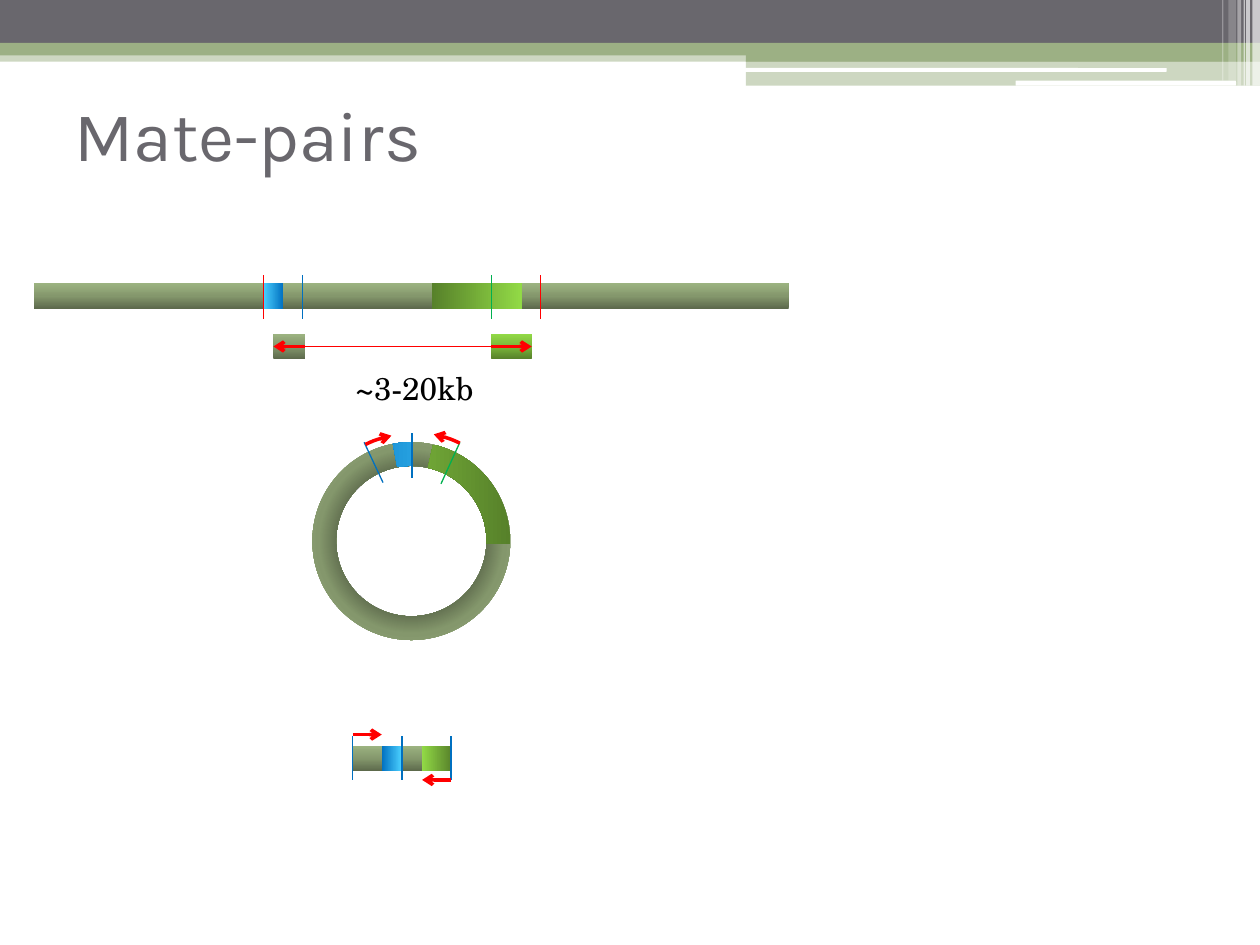
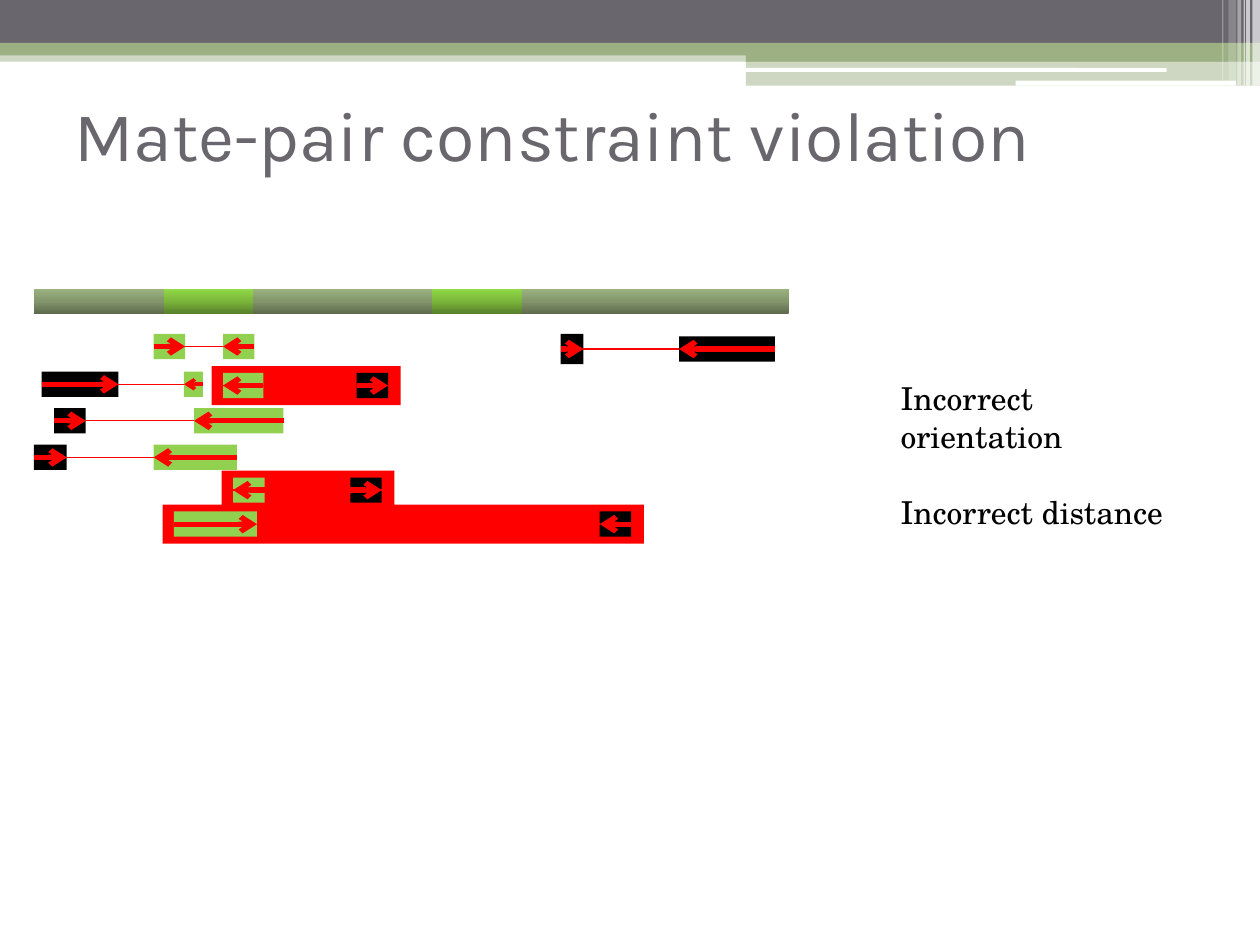
import dataclasses

import pptx
import pptx.dml.color
import pptx.enum.shapes
import pptx.enum.text
import pptx.oxml.ns
import pptx.util
from lxml import etree

Inches = pptx.util.Inches
Pt = pptx.util.Pt
Kind = pptx.enum.shapes.MSO_SHAPE
qn = pptx.oxml.ns.qn
LEFT, RIGHT = 1, 3


@dataclasses.dataclass(frozen=True)
class Theme:
    grey: str = "69676D"
    sage: str = "9CB084"
    white: str = "FFFFFF"
    black: str = "000000"
    red: str = "FF0000"
    blue: str = "0070C0"
    green: str = "00B050"
    lime: str = "92D050"
    dna: tuple = ((0, "5D6A4C"), (50, "84976C"), (100, "9CB381"))
    core: tuple = ((50, "5D6A4C"), (66, "84976C"), (100, "9CB381"))
    leaf: tuple = ((0, "57812A"), (50, "7BB73B"), (100, "92DA46"))
    fade: tuple = ((0, "57812A"), (100, "92DA46"))
    sky: tuple = ((0, "0070C0"), (100, "4BD0FF"))
    head: str = "Karla"
    body: str = "TeX Gyre Schola"
    big: int = 40
    small: int = 18
    thin: float = 0.75
    mid: int = 2
    bold: int = 3


class Deck:
    def __init__(self, theme):
        self.theme = theme
        self.file = pptx.Presentation()
        self.file.slide_width = Inches(10)
        self.file.slide_height = Inches(7.5)
        self.layout = self.file.slide_layouts[5]
        self.slide = None

    def start(self, title):
        t = self.theme
        self.slide = self.file.slides.add_slide(self.layout)
        box = self.slide.shapes.title
        box.left, box.top = Inches(0.59), Inches(0.68)
        box.width, box.height = Inches(9.25), Inches(0.94)
        frame = box.text_frame
        frame.text = title
        frame.auto_size = pptx.enum.text.MSO_AUTO_SIZE.NONE
        frame.margin_left = frame.margin_right = frame.margin_bottom = 0
        frame.margin_top = Inches(0.05)
        frame.vertical_anchor = pptx.enum.text.MSO_ANCHOR.TOP
        self.style(frame.paragraphs[0], t.head, t.big, t.grey)

    def style(self, para, face, size, color):
        para.alignment = pptx.enum.text.PP_ALIGN.LEFT
        for run in para.runs:
            run.font.name, run.font.size = face, Pt(size)
            run.font.color.rgb = pptx.dml.color.RGBColor.from_string(color)

    def share(self, shapes):
        """Move shapes from the slide to the back of its layout."""
        tree = self.layout.shapes._spTree
        for place, shape in enumerate(shapes, 2):
            tree.insert(place, shape._element)

    def shape(self, x, y, w, h, fill, kind=Kind.RECTANGLE, adj=(), alpha=100):
        form = self.slide.shapes.add_shape(
            kind, Inches(x), Inches(y), Inches(w), Inches(h))
        form.shadow.inherit = False
        form.line.fill.background()
        for i, value in enumerate(adj):
            form.adjustments[i] = value
        if fill is None:
            form.fill.background()
            return form
        form.fill.solid()
        form.fill.fore_color.rgb = pptx.dml.color.RGBColor.from_string(fill)
        if alpha < 100:
            color = form._element.spPr.find(qn("a:solidFill"))[0]
            etree.SubElement(color, qn("a:alpha"), val=str(alpha * 1000))
        return form

    def blend(self, x, y, w, h, stops, angle=270, **more):
        """Add a shape with a gradient; no angle gives a round one."""
        form = self.shape(x, y, w, h, None, **more)
        form.fill.gradient()
        grad = form._element.spPr.find(qn("a:gradFill"))
        grad.clear()
        grad.set("rotWithShape", "1")
        rows = etree.SubElement(grad, qn("a:gsLst"))
        for at, color in stops:
            stop = etree.SubElement(rows, qn("a:gs"), pos=str(at * 1000))
            etree.SubElement(stop, qn("a:srgbClr"), val=color)
        if angle is None:
            ring = etree.SubElement(grad, qn("a:path"), {"path": "circle"})
            etree.SubElement(ring, qn("a:fillToRect"),
                             dict.fromkeys("ltrb", "50000"))
        else:
            etree.SubElement(grad, qn("a:lin"), ang=str(angle * 60000), scaled="0")
        return form

    def stroke(self, form, color, width, tip=None):
        form.line.color.rgb = pptx.dml.color.RGBColor.from_string(color)
        form.line.width = Pt(width)
        if tip:
            line = form._element.spPr.find(qn("a:ln"))
            etree.SubElement(line, qn(f"a:{tip}End"), type="arrow")

    def line(self, x1, y1, x2, y2, color, width, tip=None):
        link = self.slide.shapes.add_connector(
            pptx.enum.shapes.MSO_CONNECTOR.STRAIGHT,
            Inches(x1), Inches(y1), Inches(x2), Inches(y2))
        self.stroke(link, color, width, tip)
        etree.SubElement(link._element.spPr, qn("a:effectLst"))
        return link

    def join(self, a, near, b, far, width, tip=None):
        link = self.line(0, 0, 0, 0, self.theme.red, width, tip)
        link.begin_connect(a, near)
        link.end_connect(b, far)

    def arrow(self, read, side, width):
        """Run an arrow across a read, with its tip at the given side."""
        self.join(read, LEFT + RIGHT - side, read, side, width, "tail")

    def ticks(self, y, marks):
        for x, color in marks:
            self.line(x, y + 0.35, x, y, color, self.theme.thin)

    def arc(self, x, y, size, start, end, tip):
        form = self.shape(x, y, size, size, None, Kind.ARC,
                          (start * 0.6, end * 0.6))
        self.stroke(form, self.theme.red, self.theme.mid, tip)

    def text(self, x, y, w, h, words, wrap=True, gap=0):
        box = self.slide.shapes.add_textbox(
            Inches(x), Inches(y), Inches(w), Inches(h))
        frame = box.text_frame
        frame.word_wrap = wrap
        frame.text = words
        for i, para in enumerate(frame.paragraphs):
            self.style(para, self.theme.body, self.theme.small, self.theme.black)
            if i:
                para.space_before = Pt(gap)

    def pair(self, mid, first, last, out=False, panel=False, tall=0.2):
        """Draw two linked reads that point inward, or outward if out."""
        t = self.theme
        if panel:
            x, end = first[0], last[0] + last[1]
            self.shape(x - 0.09, mid - 0.155, end - x + 0.19, 0.31, t.red)
        a, b = [self.shape(x, mid - h / 2, w, h, color)
                for (x, w, color), h in ((first, tall), (last, 0.2))]
        near, far = (LEFT, RIGHT) if out else (RIGHT, LEFT)
        self.join(a, near, b, far, t.thin)
        for read, side, (x, w, color) in ((a, near, first), (b, far, last)):
            self.arrow(read, side, t.mid if w < 0.16 else t.bold)


def bands(deck):
    t = deck.theme
    parts = [deck.shape(*at, color, alpha=alpha) for *at, color, alpha in (
        (0, 0.4, 10, 0.09, t.sage, 50),
        (0, 0, 10, 0.34, t.grey, 100),
        (0, 0.34, 10, 0.1, t.sage, 100),
        (5.92, 0.39, 4.08, 0.1, t.sage, 100),
        (5.92, 0.48, 4.08, 0.2, t.sage, 50))]
    for at in ((5.91, 0.54, 3.35, 0.03), (8.06, 0.64, 1.75, 0.04)):
        parts.append(deck.shape(*at, t.white, Kind.ROUNDED_RECTANGLE, (0.17,)))
    for x, w, h, alpha in ((9.94, 0.06, 0.68, 65), (9.89, 0.03, 0.68, 65),
                           (9.87, 0.01, 0.68, 60), (9.82, 0.03, 0.68, 40),
                           (9.75, 0.06, 0.64, 20), (9.7, 0.01, 0.64, 30)):
        parts.append(deck.shape(x, 0, w, h, t.white, alpha=alpha))
    deck.share(parts)


def mates(deck):
    t = deck.theme
    # Genome with the two ends of one fragment
    start = deck.blend(2.17, 2.65, 0.25, 0.2, t.dna)
    end = deck.blend(3.9, 2.65, 0.32, 0.2, t.leaf)
    deck.blend(0.27, 2.25, 5.99, 0.2, t.dna)
    deck.blend(3.43, 2.25, 0.71, 0.2, t.fade, 0)
    deck.blend(2.09, 2.25, 0.16, 0.2, t.sky, 180)
    deck.ticks(2.18, ((2.09, t.red), (2.4, t.blue), (3.9, t.green), (4.29, t.red)))
    deck.arrow(start, LEFT, t.mid)
    deck.arrow(end, RIGHT, t.mid)
    deck.join(start, RIGHT, end, LEFT, t.thin)
    deck.text(2.72, 2.88, 1.17, 0.4, "~3-20kb", wrap=False)

    # Fragment closed into a ring
    ring = (2.48, 3.51, 1.57, 1.57)
    deck.blend(*ring, t.core, None, kind=Kind.DONUT, adj=(0.12,))
    for stops, angle, a, b in ((t.fade, 180, 282.71, 1.97),
                               (t.sky, 0, 259.25, 270.39)):
        deck.blend(*ring, stops, angle, kind=Kind.BLOCK_ARC,
                   adj=(a * 0.6, b * 0.6, 0.12))
    deck.line(3.5, 3.84, 3.65, 3.51, t.green, t.thin)
    deck.line(3.04, 3.83, 2.89, 3.51, t.blue, t.thin)
    deck.ticks(3.44, ((3.27, t.blue),))
    deck.arc(2.38, 3.43, 1.77, 281.6, 295.76, "head")
    deck.arc(2.4, 3.44, 1.77, 244.24, 258.4, "tail")

    # Piece cut out around the junction
    deck.blend(2.8, 5.92, 0.79, 0.2, t.dna)
    deck.blend(3.35, 5.92, 0.24, 0.2, t.fade, 180)
    deck.blend(3.03, 5.92, 0.16, 0.2, t.sky, 0)
    deck.ticks(5.84, ((x, t.blue) for x in (2.8, 3.19, 3.58)))
    deck.line(2.8, 5.83, 3.03, 5.83, t.red, t.mid, "tail")
    deck.line(3.58, 6.19, 3.35, 6.19, t.red, t.mid, "tail")


def breaks(deck):
    t = deck.theme
    deck.blend(0.27, 2.29, 5.99, 0.2, t.dna)
    for x in (1.3, 3.43):
        deck.blend(x, 2.29, 0.71, 0.2, t.leaf)
    deck.pair(2.75, (1.22, 0.25, t.lime), (1.77, 0.25, t.lime))
    deck.pair(2.77, (4.45, 0.18, t.black), (5.39, 0.76, t.black), tall=0.24)
    deck.pair(3.05, (0.33, 0.61, t.black), (1.46, 0.15, t.lime))
    deck.pair(3.34, (0.43, 0.25, t.black), (1.54, 0.71, t.lime))
    deck.pair(3.63, (0.27, 0.26, t.black), (1.22, 0.66, t.lime))
    deck.pair(3.06, (1.77, 0.32, t.lime), (2.83, 0.25, t.black), True, True)
    deck.pair(4.16, (1.38, 0.66, t.lime), (4.76, 0.25, t.black), panel=True)
    deck.pair(3.89, (1.85, 0.25, t.lime), (2.78, 0.25, t.black), True, True)
    deck.text(7.05, 2.96, 2.44, 1.31,
              "Incorrect orientation\nIncorrect distance", gap=21.6)


def main():
    deck = Deck(Theme())
    deck.start("Mate-pairs")
    bands(deck)
    mates(deck)
    deck.start("Mate-pair constraint violation")
    breaks(deck)
    deck.file.save("out.pptx")


if __name__ == "__main__":
    main()
